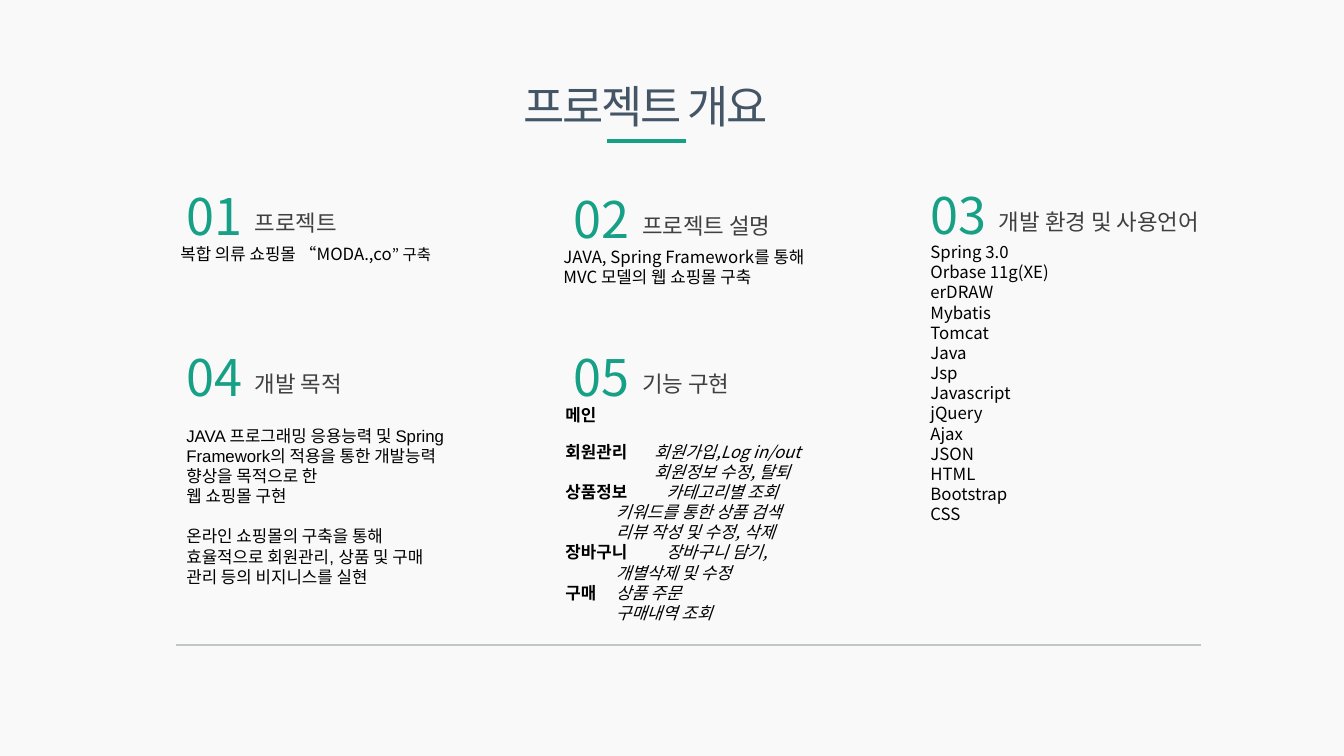
"""Build the project overview slide: a title, five numbered sections and a closing rule."""
from dataclasses import dataclass

from pptx import Presentation
from pptx.dml.color import RGBColor
from pptx.enum.shapes import MSO_CONNECTOR
from pptx.enum.text import MSO_ANCHOR, MSO_AUTO_SIZE, PP_ALIGN
from pptx.oxml.ns import qn
from pptx.util import Inches, Pt
from lxml.etree import SubElement

COLORS = {
    "background": "F9F9F9",
    "title": "445566",
    "accent": "16A085",
    "heading": "404040",
    "body": "000000",
    "rule": "BFC7C7",
}
NOTO = "Noto Sans CJK KR"
ARIAL = "Arial"


@dataclass(frozen=True)
class Piece:
    """A stretch of text in one style."""
    text: str
    bold: bool = False
    italic: bool = False
    size: float = 12


@dataclass(frozen=True)
class Line:
    """A paragraph with its gap above in points and its hanging indent in inches."""
    pieces: tuple[Piece, ...]
    before: float = 0
    hanging: float = 0


@dataclass(frozen=True)
class Section:
    """A numbered section; the number's corner places the heading too."""
    number: str
    heading: str
    left: float
    top: float
    heading_width: float
    body_at: tuple[float, float, float, float]
    lines: tuple[Line, ...]
    font: str = NOTO


def plain(*texts: str) -> tuple[Line, ...]:
    """Return one unstyled line for each text."""
    return tuple(Line((Piece(text),)) for text in texts)


def feature(label: str, detail: str, before: float = 0, hanging: float = 0) -> Line:
    """Return a bold label followed by an italic detail."""
    pieces = (Piece(label, bold=True), Piece(detail, italic=True))
    return Line(tuple(piece for piece in pieces if piece.text), before, hanging)


SECTIONS = (
    Section("01", "프로젝트", 1.75, 1.79, 2.08, (1.69, 2.37, 3.28, 0.3),
            (Line((Piece("복합 의류 쇼핑몰 “MODA.,co"), Piece("” 구축", size=11))),)),
    Section("02", "프로젝트 설명", 5.59, 1.82, 2.04, (5.49, 2.4, 2.78, 0.5),
            plain("JAVA, Spring Framework를 통해 MVC 모델의 웹 쇼핑몰 구축")),
    Section("03", "개발 환경 및 사용언어", 9.13, 1.78, 2.34, (9.13, 2.35, 3.43, 2.93),
            plain("Spring 3.0", "Orbase 11g(XE)", "erDRAW", "Mybatis", "Tomcat", "Java", "Jsp",
                  "Javascript", "jQuery", "Ajax", "JSON", "HTML", "Bootstrap", "CSS")),
    Section("04", "개발 목적", 1.75, 3.38, 1.98, (1.75, 4.17, 2.89, 1.72),
            plain("JAVA 프로그래밍 응용능력 및 Spring Framework의 적용을 통한 개발능력 향상을 목적으로 한",
                  "웹 쇼핑몰 구현")
            + (Line((Piece("온라인 쇼핑몰의 구축을 통해\v효율적으로 회원관리, 상품 및 구매 관리 등의 비지니스를 실현"),),
                    before=14.4),),
            ARIAL),
    Section("05", "기능 구현", 5.59, 3.38, 2.02, (5.51, 3.97, 3.39, 2.27), (
        feature("메인", "", hanging=0.38),
        feature("회원관리\t", "회원가입,Log in/out", before=11.5, hanging=0.38),
        feature("", "\t\t회원정보 수정, 탈퇴", hanging=0.38),
        feature("상품정보\t", "카테고리별 조회"),
        feature("", "\t키워드를 통한 상품 검색"),
        feature("", "\t리뷰 작성 및 수정, 삭제"),
        feature("장바구니\t", "장바구니 담기,"),
        feature("", "\t개별삭제 및 수정"),
        feature("구매\t", "상품 주문"),
        feature("", "\t구매내역 조회"),
    )),
)


def style_span(span, size: float, color: str, font: str = NOTO) -> None:
    """Set the size, colour and typeface of a run."""
    span.font.size = Pt(size)
    span.font.name = font
    span.font.color.rgb = RGBColor.from_string(COLORS[color])
    if font == NOTO:
        SubElement(span.font._element, qn("a:ea")).set("typeface", font)


def add_box(page, left: float, top: float, width: float, height: float):
    """Add a wrapping text box and return its text frame."""
    box = page.shapes.add_textbox(Inches(left), Inches(top), Inches(width), Inches(height))
    box.text_frame.word_wrap = True
    box.text_frame.auto_size = MSO_AUTO_SIZE.SHAPE_TO_FIT_TEXT
    return box.text_frame


def add_label(page, text: str, at: tuple[float, float, float, float], size: float, color: str) -> None:
    """Add a one-line text box."""
    frame = add_box(page, *at)
    frame.text = text
    style_span(frame.paragraphs[0].runs[0], size, color)


def add_body(page, section: Section) -> None:
    """Add the text below a section heading."""
    frame = add_box(page, *section.body_at)
    for index, line in enumerate(section.lines):
        para = frame.add_paragraph() if index else frame.paragraphs[0]
        if line.before:
            para.space_before = Pt(line.before)
        if line.hanging:
            properties = para._p.get_or_add_pPr()
            properties.set("marL", str(Inches(line.hanging)))
            properties.set("indent", str(-Inches(line.hanging)))
        for piece in line.pieces:
            for part_index, part in enumerate(piece.text.split("\v")):
                if part_index:
                    para.add_line_break()
                span = para.add_run()
                span.text = part
                style_span(span, piece.size, "body", section.font)
                span.font.bold = piece.bold
                span.font.italic = piece.italic


def add_section(page, section: Section) -> None:
    """Add the number, heading and body of a section."""
    heading_at = (section.left + 0.68, section.top + 0.24, section.heading_width, 0.37)
    add_label(page, section.heading, heading_at, 16, "heading")
    add_body(page, section)
    add_label(page, section.number, (section.left, section.top, 0.89, 0.71), 36, "accent")


def add_rule(page, left: float, right: float, y: float, color: str, weight: float) -> None:
    """Add a horizontal line without a shadow."""
    rule = page.shapes.add_connector(
        MSO_CONNECTOR.STRAIGHT, Inches(left), Inches(y), Inches(right), Inches(y))
    rule.line.color.rgb = RGBColor.from_string(COLORS[color])
    rule.line.width = Pt(weight)
    SubElement(rule._element.spPr, qn("a:effectLst"))


def set_title(page, text: str) -> None:
    """Place and format the title placeholder."""
    title = page.shapes.title
    title.left, title.top = Inches(4.43), Inches(0.73)
    title.width, title.height = Inches(3.95), Inches(0.64)
    frame = title.text_frame
    frame.text = text
    frame.word_wrap = True
    frame.auto_size = MSO_AUTO_SIZE.SHAPE_TO_FIT_TEXT
    frame.vertical_anchor = MSO_ANCHOR.TOP
    para = frame.paragraphs[0]
    para.alignment = PP_ALIGN.CENTER
    style_span(para.runs[0], 32, "title")
    para.runs[0].font._element.set("spc", "-150")


def main() -> None:
    """Build and save the deck."""
    deck = Presentation()
    deck.slide_width, deck.slide_height = Inches(13.33), Inches(7.5)
    page = deck.slides.add_slide(deck.slide_layouts[5])
    page.background.fill.solid()
    page.background.fill.fore_color.rgb = RGBColor.from_string(COLORS["background"])
    set_title(page, "프로젝트 개요")
    add_rule(page, 6.02, 6.8, 1.4, "accent", 3)
    for section in SECTIONS:
        add_section(page, section)
    add_rule(page, 1.75, 11.91, 6.4, "rule", 1.5)
    deck.save("out.pptx")


if __name__ == "__main__":
    main()
